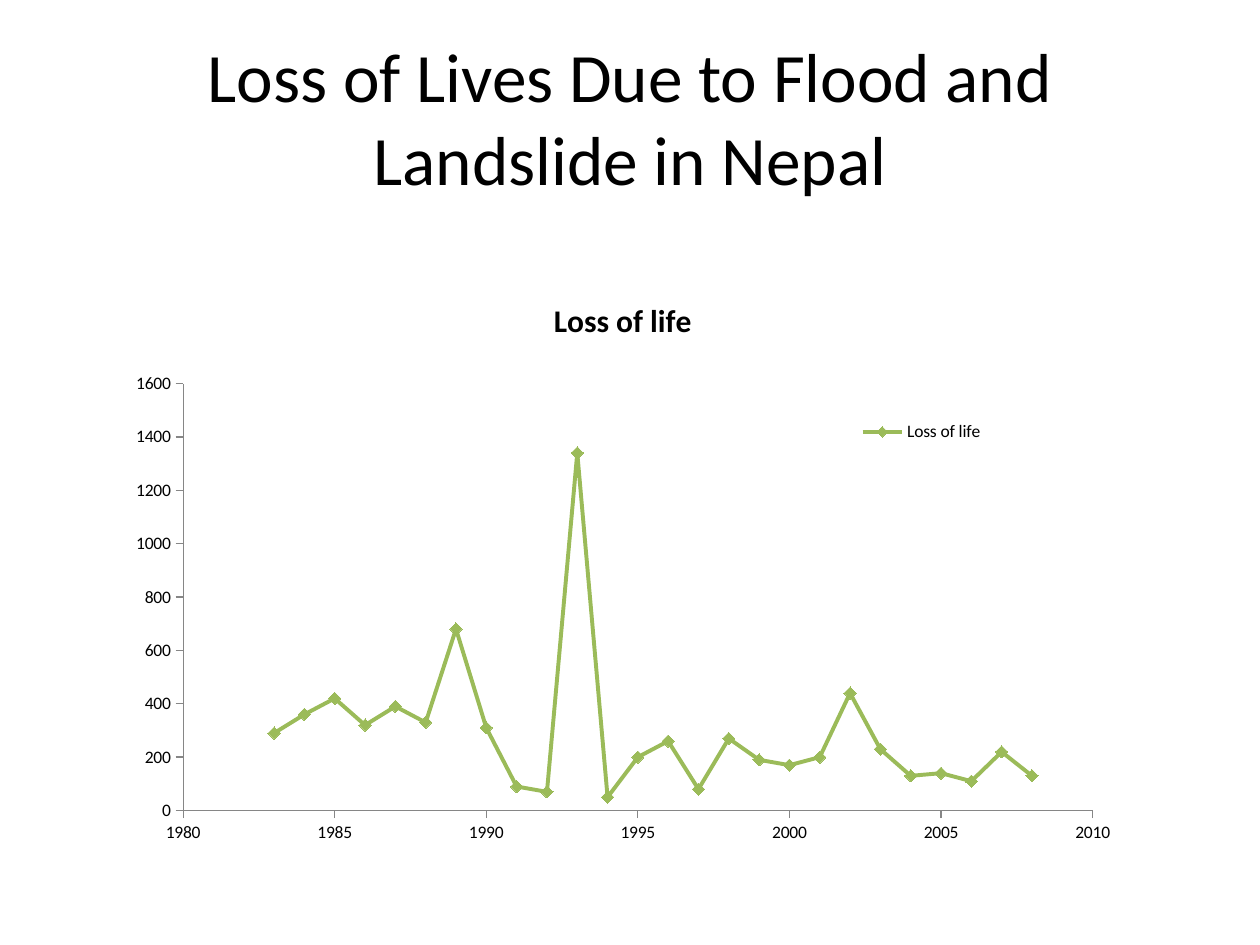
from pptx import Presentation
from pptx.chart.data import XyChartData
from pptx.dml.color import RGBColor
from pptx.enum.chart import XL_CHART_TYPE as ChartType, XL_LEGEND_POSITION as LegendSpot
from pptx.enum.chart import XL_MARKER_STYLE as Marker, XL_TICK_MARK as Tick
from pptx.enum.text import MSO_ANCHOR as Anchor, PP_ALIGN as Align
from pptx.oxml import parse_xml
from pptx.oxml.ns import nsdecls, qn
from pptx.util import Inches, Pt

FIRST_YEAR = 1983
LIVES_LOST = [290, 360, 420, 320, 390, 330, 680, 310, 90, 70, 1340, 50, 200,
              260, 80, 270, 190, 170, 200, 440, 230, 130, 140, 110, 220, 130]


def color(value):
    return RGBColor.from_string(value)


def place(element, index, x, y, size=None, target=None):
    """Give a chart part a manual layout, in fractions of the chart."""
    for old in element.findall(qn("c:layout")):
        element.remove(old)
    values = [("xMode", "edge"), ("yMode", "edge"), ("x", x), ("y", y)]
    if target:
        values.insert(0, ("layoutTarget", target))
    if size:
        values += [("w", size[0]), ("h", size[1])]
    items = "".join(f'<c:{name} val="{value}"/>' for name, value in values)
    element.insert(index, parse_xml(
        f'<c:layout {nsdecls("c")}><c:manualLayout>{items}</c:manualLayout></c:layout>'))


class SlideWriter:
    font = "Calibri"
    ink = "000000"
    axis_gray = "868686"
    green = "9BBB59"

    def __init__(self, page):
        self.page = page

    def style(self, font, size, bold=False):
        font.name, font.size, font.bold = self.font, Pt(size), bold
        font.color.rgb = color(self.ink)

    def title(self, text, left, top, width, height):
        box = self.page.shapes.title
        box.left, box.top = Inches(left), Inches(top)
        box.width, box.height = Inches(width), Inches(height)
        frame = box.text_frame
        frame.text = text
        frame.word_wrap = True
        frame.vertical_anchor = Anchor.MIDDLE
        para = frame.paragraphs[0]
        para.alignment = Align.CENTER
        self.style(para.font, 39.6)

    def axis(self, axis, low, high, step):
        axis.minimum_scale, axis.maximum_scale, axis.major_unit = low, high, step
        axis.has_major_gridlines = False
        axis.major_tick_mark, axis.minor_tick_mark = Tick.OUTSIDE, Tick.NONE
        axis.format.line.color.rgb = color(self.axis_gray)
        axis.format.line.width = Pt(0.75)
        self.style(axis.tick_labels.font, 10)

    def scatter(self, name, points, left, top, width, height):
        data = XyChartData(number_format="General")
        entries = data.add_series(name)
        for x, y in points:
            entries.add_data_point(x, y)
        chart = self.page.shapes.add_chart(
            ChartType.XY_SCATTER_LINES, Inches(left), Inches(top),
            Inches(width), Inches(height), data).chart
        self.style(chart.font, 10)

        # Chart title
        chart.has_title = True
        heading = chart.chart_title
        heading.text_frame.text = name
        self.style(heading.text_frame.paragraphs[0].font, 18, bold=True)
        place(heading._element, 1, 0.44, 0.05)

        # Axes and plot area
        self.axis(chart.category_axis, 1980, 2010, 5)
        self.axis(chart.value_axis, 0, 1600, 200)
        plot_area = chart._chartSpace.chart.plotArea
        place(plot_area, 0, 0.109, 0.196, (0.825, 0.689), "inner")

        # Legend inside the plot
        chart.has_legend = True
        chart.legend.position = LegendSpot.RIGHT
        chart.legend.include_in_layout = False
        self.style(chart.legend.font, 10)
        place(chart.legend._element, 1, 0.72, 0.25)

        # Line and markers
        plot = chart.plots[0]
        plot.vary_by_categories = False
        series = plot.series[0]
        series.format.line.color.rgb = color(self.green)
        series.format.line.width = Pt(2.25)
        marker = series.marker
        marker.style, marker.size = Marker.DIAMOND, 7
        marker.format.fill.solid()
        marker.format.fill.fore_color.rgb = color(self.green)
        marker.format.line.color.rgb = color(self.green)


def main():
    deck = Presentation()
    deck.slide_width, deck.slide_height = Inches(10), Inches(7.5)
    writer = SlideWriter(deck.slides.add_slide(deck.slide_layouts[5]))
    writer.title("Loss of Lives Due to Flood and Landslide in Nepal", 0.5, 0.3, 9, 1.25)
    writer.scatter("Loss of life", enumerate(LIVES_LOST, FIRST_YEAR), 0.5, 2.08, 8.75, 4.92)
    deck.save("out.pptx")


if __name__ == "__main__":
    main()
